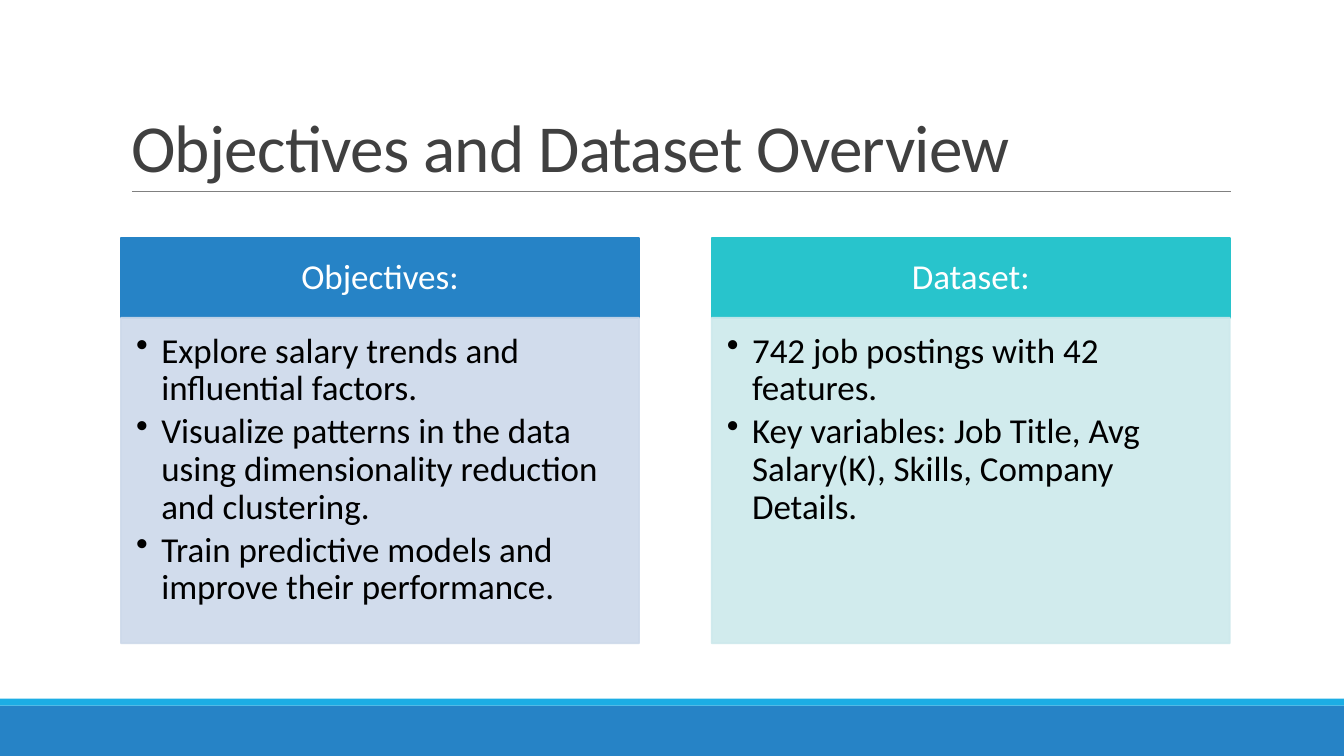
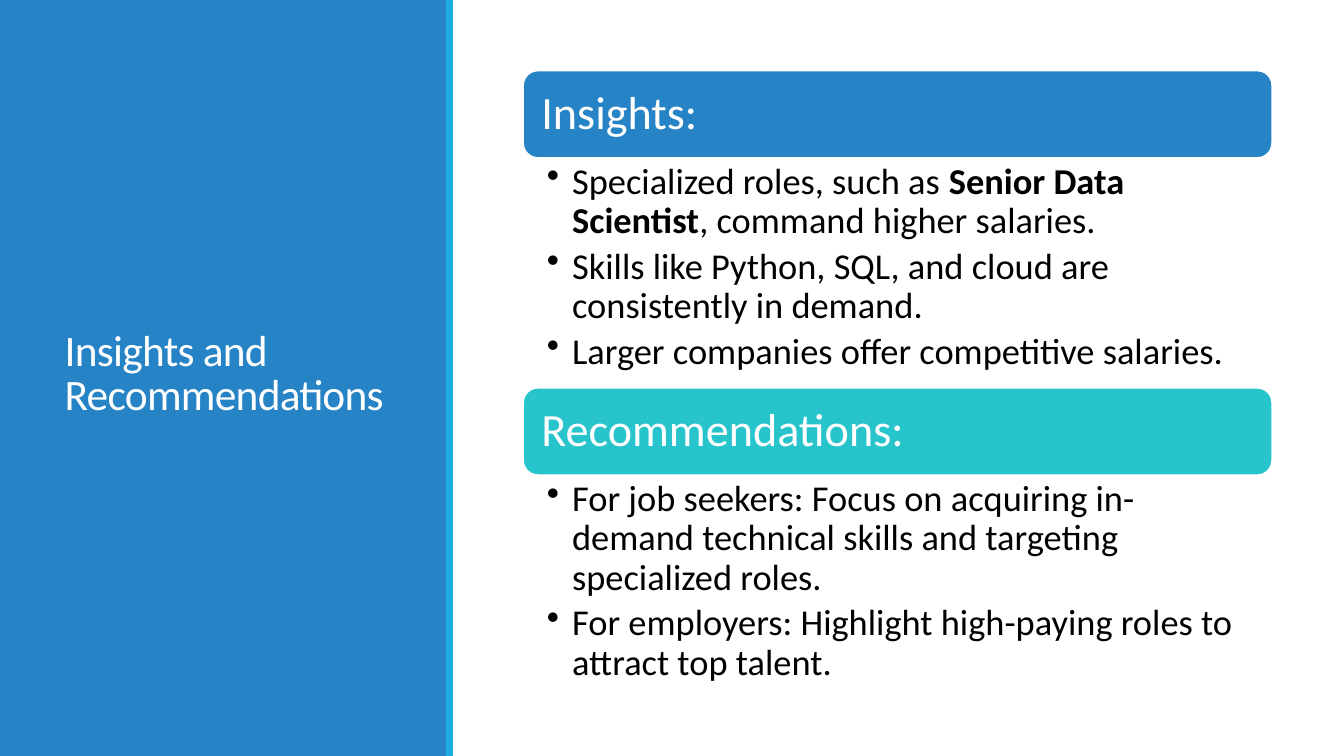
import lxml.etree
import pptx
import pptx.dml.color
import pptx.enum.shapes
import pptx.enum.text
import pptx.oxml.ns
import pptx.util

Pt = pptx.util.Pt
SHAPE = pptx.enum.shapes.MSO_SHAPE
ALIGN = pptx.enum.text.PP_ALIGN
ANCHOR = pptx.enum.text.MSO_ANCHOR
qn = pptx.oxml.ns.qn

FONT = "Calibri"
BLUE, SKY, TEAL = "2683C6", "1CADE4", "28C4CC"
PALE_BLUE, PALE_TEAL = "CDD9EA", "CDE9EC"
WHITE, BLACK, DARK, GRAY = "FFFFFF", "000000", "404040", "808080"
WIDTH, HEIGHT = 960, 540
STRIPE = 5
BULLET_INDENT = 18


def rgb(value):
    return pptx.dml.color.RGBColor.from_string(value)


def add_box(s, x, y, w, h, fill, line=None, shape=SHAPE.RECTANGLE, alpha=None):
    sp = s.shapes.add_shape(shape, Pt(x), Pt(y), Pt(w), Pt(h))
    sp.shadow.inherit = False
    sp.fill.solid()
    sp.fill.fore_color.rgb = rgb(fill)
    if line:
        sp.line.color.rgb = rgb(line)
        sp.line.width = Pt(1.25)
    else:
        sp.line.fill.background()
    if alpha:
        for color in sp._element.spPr.iter(qn("a:srgbClr")):
            lxml.etree.SubElement(color, qn("a:alpha")).set("val", str(alpha * 1000))
    return sp


def set_frame(sp, anchor, insets):
    tf = sp.text_frame
    tf.word_wrap = True
    tf.auto_size = pptx.enum.text.MSO_AUTO_SIZE.NONE
    tf.vertical_anchor = anchor
    tf.margin_left, tf.margin_top, tf.margin_right, tf.margin_bottom = map(Pt, insets)
    return tf


def format_paragraph(p, size, color, align=ALIGN.LEFT, spacing=0.9):
    p.font.name = FONT
    p.font.size = Pt(size)
    p.font.color.rgb = rgb(color)
    p.alignment = align
    p.line_spacing = spacing


def add_bullet(p):
    pPr = p._p.get_or_add_pPr()
    pPr.set("marL", str(Pt(BULLET_INDENT)))
    pPr.set("indent", str(-Pt(BULLET_INDENT)))
    bullet = lxml.etree.Element(qn("a:buChar"))
    bullet.set("char", "•")
    pPr.find(qn("a:defRPr")).addprevious(bullet)


def set_title(s, text, x, y, w, h, size, color, anchor):
    sp = s.shapes.title
    sp.left, sp.top, sp.width, sp.height = map(Pt, (x, y, w, h))
    tf = set_frame(sp, anchor, (7.2, 3.6, 7.2, 3.6))
    p = tf.paragraphs[0]
    r = p.add_run()
    r.text = text
    r._r.get_or_add_rPr().set("spc", "-50")
    format_paragraph(p, size, color, spacing=0.85)
    s.shapes._spTree.append(sp._element)


def set_heading(sp, text, size, inset, align):
    p = set_frame(sp, ANCHOR.MIDDLE, (inset,) * 4).paragraphs[0]
    p.text = text
    format_paragraph(p, size, WHITE, align)


def set_bullets(sp, items, size, gap, insets):
    tf = set_frame(sp, ANCHOR.TOP, insets)
    for i, item in enumerate(items):
        p = tf.paragraphs[0] if i == 0 else tf.add_paragraph()
        for j, piece in enumerate(item.split("**")):
            r = p.add_run()
            r.text = piece
            if j % 2:
                r.font.bold = True
        format_paragraph(p, size, BLACK)
        p.space_after = Pt(gap)
        add_bullet(p)


def add_rule(s, x1, x2, y):
    line = s.shapes.add_connector(
        pptx.enum.shapes.MSO_CONNECTOR.STRAIGHT, Pt(x1), Pt(y), Pt(x2), Pt(y))
    line.line.color.rgb = rgb(GRAY)
    line.line.width = Pt(0.5)
    lxml.etree.SubElement(line._element.spPr, qn("a:effectLst"))


def add_card(s, x, heading, items, color, pale):
    y, w, head_h, body_h = 170, 370, 57, 232.5
    head = add_box(s, x, y, w, head_h, color, color)
    set_heading(head, heading, 25, 8, ALIGN.CENTER)
    body = add_box(s, x, y + head_h, w, body_h, pale, pale, alpha=90)
    set_bullets(body, items, 25, 3.6, (10.8, 10.8, 13.7, 15.8))


def add_section(s, y, body_h, heading, items, color):
    x, w, head_h = 373.7, 535, 62.4
    head = add_box(s, x, y, w, head_h, color, WHITE, SHAPE.ROUNDED_RECTANGLE)
    set_heading(head, heading, 33, 10, ALIGN.LEFT)
    body = s.shapes.add_textbox(Pt(x), Pt(y + head_h), Pt(w), Pt(body_h))
    set_bullets(body, items, 26, 4.5, (17, 3.6, 18.7, 3.6))
    return y + head_h + body_h


def build_overview(s):
    footer_h = 36
    add_box(s, 0, HEIGHT - footer_h, WIDTH, footer_h, BLUE)
    add_box(s, 0, HEIGHT - footer_h - STRIPE, WIDTH, STRIPE, SKY)
    add_rule(s, 94.3, 879, 136.6)
    set_title(s, "Objectives and Dataset Overview", 86.4, 22.3, 792, 114.5,
              48, DARK, ANCHOR.BOTTOM)
    cards = [
        ("Objectives:", [
            "Explore salary trends and influential factors.",
            "Visualize patterns in the data using dimensionality reduction and clustering.",
            "Train predictive models and improve their performance.",
        ], BLUE, PALE_BLUE),
        ("Dataset:", [
            "742 job postings with 42 features.",
            "Key variables: Job Title, Avg Salary(K), Skills, Company Details.",
        ], TEAL, PALE_TEAL),
    ]
    for i, card in enumerate(cards):
        add_card(s, 86.4 + i * 422, *card)


def build_insights(s):
    panel_w = 318.5
    add_box(s, 0, 0, panel_w, HEIGHT, BLUE)
    add_box(s, panel_w, 0, STRIPE, HEIGHT, SKY)
    set_title(s, "Insights and Recommendations", 39, 41, 242.6, 454.3,
              31, WHITE, ANCHOR.MIDDLE)
    sections = [
        (164.2, "Insights:", [
            "Specialized roles, such as **Senior Data Scientist**, command higher salaries.",
            "Skills like Python, SQL, and cloud are consistently in demand.",
            "Larger companies offer competitive salaries.",
        ], BLUE),
        (156, "Recommendations:", [
            "For job seekers: Focus on acquiring in-demand technical skills "
            "and targeting specialized roles.",
            "For employers: Highlight high-paying roles to attract top talent.",
        ], TEAL),
    ]
    y = 50.4
    for section in sections:
        y = add_section(s, y, *section)


def main():
    prs = pptx.Presentation()
    prs.slide_width, prs.slide_height = Pt(WIDTH), Pt(HEIGHT)
    for build in (build_overview, build_insights):
        build(prs.slides.add_slide(prs.slide_layouts[5]))
    prs.save("out.pptx")


if __name__ == "__main__":
    main()
